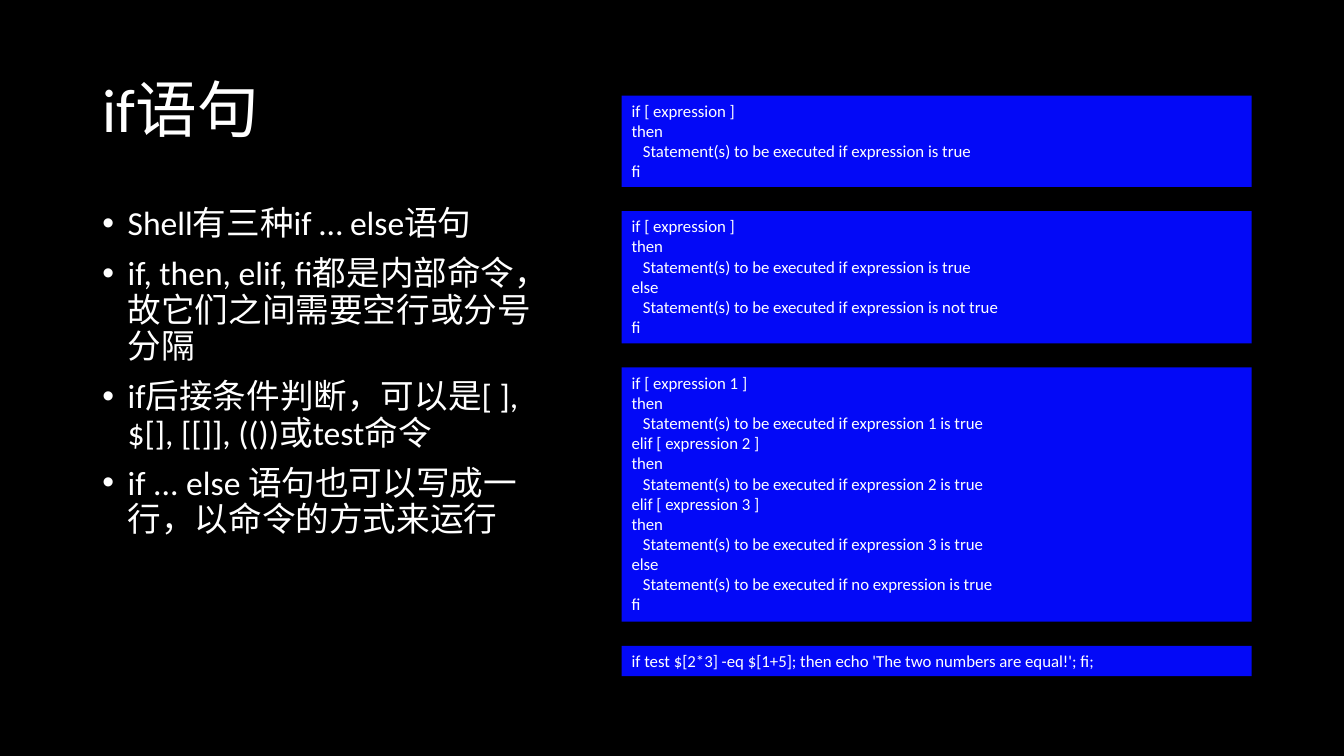
"""Build a slide on the three forms of the shell if statement."""
from dataclasses import dataclass

from lxml.etree import SubElement
from pptx import Presentation
from pptx.dml.color import RGBColor
from pptx.enum.shapes import MSO_SHAPE
from pptx.enum.text import MSO_ANCHOR, MSO_AUTO_SIZE, PP_ALIGN
from pptx.oxml.ns import qn
from pptx.util import Pt

TITLE = "if语句"
BULLETS = [
    "Shell有三种if … else语句",
    "if, then, elif, fi都是内部命令，故它们之间需要空行或分号分隔",
    "if后接条件判断，可以是[ ], $[], [[]], (())或test命令",
    "if ... else 语句也可以写成一行，以命令的方式来运行",
]
CODE_BLOCKS = [
    """if [ expression ]
then
   Statement(s) to be executed if expression is true
fi""",
    """if [ expression ]
then
   Statement(s) to be executed if expression is true
else
   Statement(s) to be executed if expression is not true
fi""",
    """if [ expression 1 ]
then
   Statement(s) to be executed if expression 1 is true
elif [ expression 2 ]
then
   Statement(s) to be executed if expression 2 is true
elif [ expression 3 ]
then
   Statement(s) to be executed if expression 3 is true
else
   Statement(s) to be executed if no expression is true
fi""",
    "if test $[2*3] -eq $[1+5]; then echo 'The two numbers are equal!'; fi;",
]


@dataclass(frozen=True)
class Theme:
    background: RGBColor = RGBColor(0, 0, 0)
    text: RGBColor = RGBColor(255, 255, 255)
    code_fill: RGBColor = RGBColor(3, 9, 247)
    font: str = "Calibri"
    title: int = 44
    body: int = 24
    code: int = 12


THEME = Theme()
PX = 9525
SLIDE_W, SLIDE_H = 1280, 720
LEFT, COLUMN_W = 88, 438
TITLE_TOP, TITLE_H = 38, 139
BODY_TOP, BODY_H = 192, 442
CODE_LEFT, CODE_TOP, CODE_W = 592, 91, 600
CODE_GAP, CODE_PADDING = 23, 10
BULLET_INDENT = 24


def px(*lengths):
    return [n * PX for n in lengths]


def place(sp, *box):
    sp.left, sp.top, sp.width, sp.height = px(*box)


def style_text(tf, size, anchor, auto_size, spacing):
    tf.word_wrap = True
    tf.vertical_anchor = anchor
    tf.auto_size = auto_size
    for p in tf.paragraphs:
        p.alignment = PP_ALIGN.LEFT
        p.line_spacing = spacing
        for r in p.runs:
            r.font.name = THEME.font
            r.font.size = Pt(size)
            r.font.color.rgb = THEME.text


def add_bullets(tf):
    for i, p in enumerate(tf.paragraphs):
        p.space_before = Pt(10 if i else 0)
        pPr = p._p.get_or_add_pPr()
        pPr.set("marL", str(BULLET_INDENT * PX))
        pPr.set("indent", str(-BULLET_INDENT * PX))
        SubElement(pPr, qn("a:buFont"), typeface="Arial")
        SubElement(pPr, qn("a:buChar"), char="•")


def add_code(s, code, top):
    lines = code.count("\n") + 1
    height = lines * 58 // 3 + CODE_PADDING
    sp = s.shapes.add_shape(MSO_SHAPE.RECTANGLE, *px(CODE_LEFT, top, CODE_W, height))
    sp.shadow.inherit = False
    sp.fill.solid()
    sp.fill.fore_color.rgb = THEME.code_fill
    sp.line.fill.background()
    sp.text_frame.text = code
    style_text(sp.text_frame, THEME.code, MSO_ANCHOR.TOP,
               MSO_AUTO_SIZE.SHAPE_TO_FIT_TEXT, 1.0)
    return top + height + CODE_GAP


def main():
    prs = Presentation()
    prs.slide_width, prs.slide_height = px(SLIDE_W, SLIDE_H)
    s = prs.slides.add_slide(prs.slide_layouts[1])
    s.background.fill.solid()
    s.background.fill.fore_color.rgb = THEME.background

    title, body = s.placeholders
    place(title, LEFT, TITLE_TOP, COLUMN_W, TITLE_H)
    title.text_frame.text = TITLE
    style_text(title.text_frame, THEME.title, MSO_ANCHOR.MIDDLE,
               MSO_AUTO_SIZE.NONE, 0.9)

    place(body, LEFT, BODY_TOP, COLUMN_W, BODY_H)
    body.text_frame.text = "\n".join(BULLETS)
    style_text(body.text_frame, THEME.body, MSO_ANCHOR.TOP,
               MSO_AUTO_SIZE.NONE, 0.9)
    add_bullets(body.text_frame)

    top = CODE_TOP
    for code in CODE_BLOCKS:
        top = add_code(s, code, top)

    prs.save("out.pptx")


if __name__ == "__main__":
    main()
